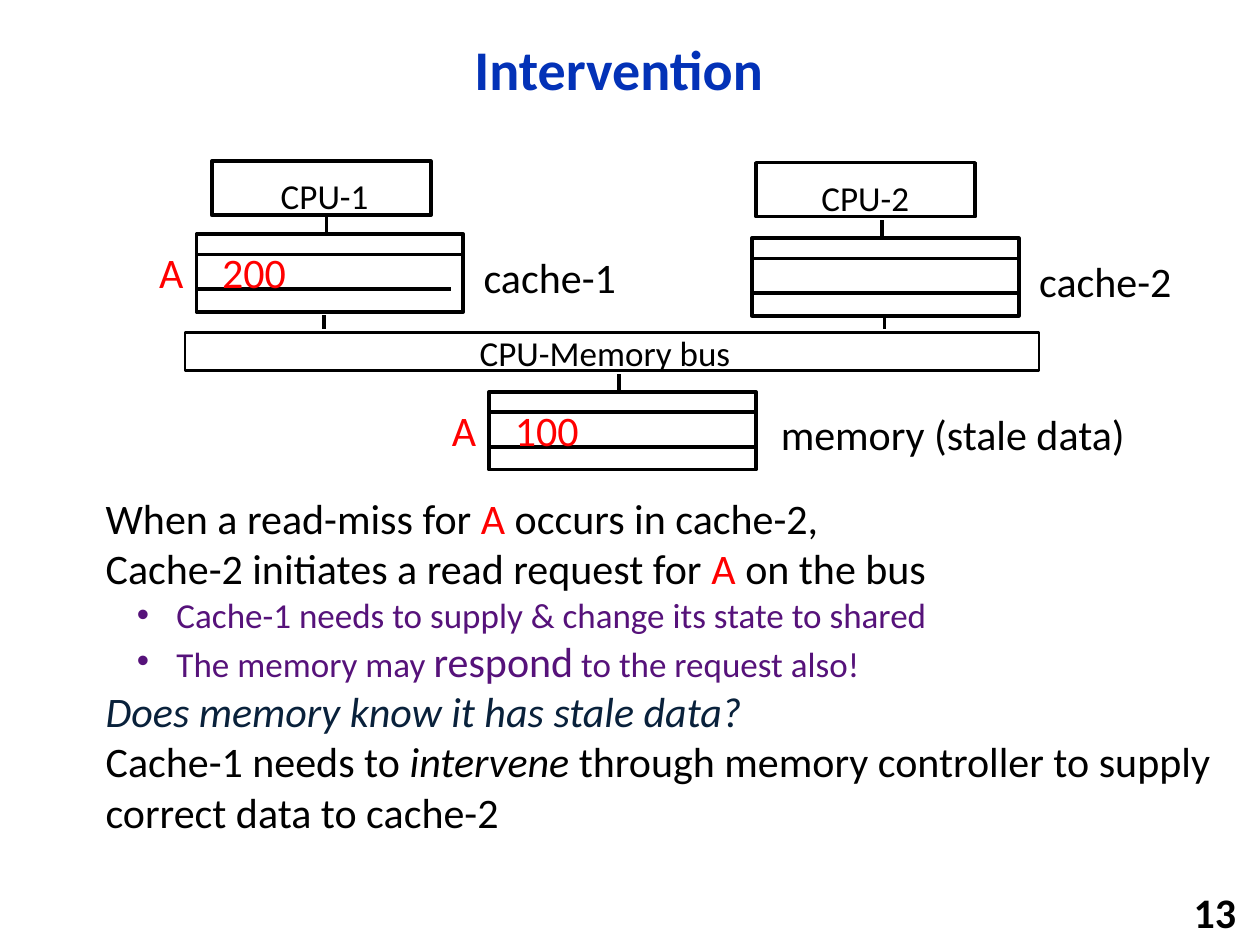
from pptx import Presentation
from pptx.dml.color import RGBColor
from pptx.enum.shapes import MSO_CONNECTOR, MSO_SHAPE
from pptx.enum.text import MSO_ANCHOR, MSO_AUTO_SIZE, PP_ALIGN
from pptx.oxml.ns import qn
from pptx.util import Cm, Pt
from lxml import etree

BLACK, RED, PURPLE, NAVY = "000000", "FF0000", "56127A", "09213B"
paint = RGBColor.from_string

deck = Presentation()
deck.slide_width, deck.slide_height = Cm(25.4), Cm(19.05)
slide = deck.slides.add_slide(deck.slide_layouts[6])
shapes = slide.shapes


def add_text(text, x, y, wide, high, size=24, color=BLACK):
    box = shapes.add_textbox(Cm(x), Cm(y), Cm(wide), Cm(high))
    frame = box.text_frame
    frame.text = text
    frame.word_wrap = False
    frame.auto_size = MSO_AUTO_SIZE.SHAPE_TO_FIT_TEXT
    font = frame.paragraphs[0].runs[0].font
    font.name, font.size = "Calibri", Pt(size)
    font.color.rgb = paint(color)
    return frame


def add_line(x1, y1, x2, y2):
    line = shapes.add_connector(MSO_CONNECTOR.STRAIGHT, Cm(x1), Cm(y1), Cm(x2), Cm(y2))
    line.line.width = Pt(2)
    line.line.color.rgb = paint(BLACK)
    etree.SubElement(line._element.spPr, qn("a:effectLst"))


# Title and page number
for text, x, y, wide, high, size, color, align in (
    ("Intervention", 2.34, 0.43, 20.27, 2.06, 32, "0332B7", PP_ALIGN.CENTER),
    ("13", 19.89, 17.98, 5.28, 0.81, 24, BLACK, PP_ALIGN.RIGHT),
):
    frame = add_text(text, x, y, wide, high, size, color)
    frame.word_wrap = True
    frame.auto_size = MSO_AUTO_SIZE.NONE
    frame.vertical_anchor = MSO_ANCHOR.MIDDLE
    para = frame.paragraphs[0]
    para.alignment = align
    para.runs[0].font.bold = True
    if size == 32:
        para.line_spacing = 0.9

# Boxes: two processors, bus, two caches, memory
for x, y, wide, high, weight in (
    (4.27, 3.25, 4.42, 1.09, 2),
    (15.24, 3.28, 4.42, 1.09, 2),
    (3.73, 6.71, 17.22, 0.76, 1.5),
    (3.96, 4.72, 5.38, 1.57, 2),
    (15.16, 4.8, 5.38, 1.57, 2),
    (9.86, 7.9, 5.38, 1.57, 2),
):
    rect = shapes.add_shape(MSO_SHAPE.RECTANGLE, Cm(x), Cm(y), Cm(wide), Cm(high))
    rect.shadow.inherit = False
    if weight == 1.5:
        rect.fill.solid()
        rect.fill.fore_color.rgb = paint("FFFFFF")
    else:
        rect.fill.background()
    rect.line.width = Pt(weight)
    rect.line.color.rgb = paint(BLACK)

# Processor and bus names
add_text("CPU-1", 5.41, 3.4, 2.29, 1.09, 20)
add_text("CPU-2", 16.31, 3.43, 2.29, 1.09, 20)
add_text("CPU-Memory bus", 9.42, 6.55, 5.59, 1.09, 20)

# Rows, stem, label and value of each store
for x, y, end, label, wide, gap, value in (
    (3.96, 4.72, 5.13, "cache-1", 3.2, 5.54, "A\t200"),
    (15.16, 4.8, 5.36, "cache-2", 3.2, 5.54, None),
    (9.86, 7.9, 5.36, "memory (stale data)", 7.54, 5.63, "A\t100"),
):
    add_line(x + 2.62, y - 0.36, x + 2.62, y - 0.03)
    add_line(x, y + 0.41, x + 5.34, y + 0.41)
    add_line(x + 0.04, y + 1.11, x + end, y + 1.11)
    add_text(label, x + gap, y + 0.22, wide, 1.27)
    if value:
        add_text(value, x - 1, y + 0.13, 4.37, 1.27, color=RED)

# Links from the caches to the bus
add_line(6.53, 6.35, 6.53, 6.63)
add_line(17.83, 6.4, 17.83, 6.63)

# Explanation: (bulleted, runs of text, size, colour, italic)
body = (
    (False, (("When a read-miss for ", 24, BLACK, False), ("A", 24, RED, False),
             (" occurs in cache-2,", 24, BLACK, False))),
    (False, (("Cache-2 initiates a read request for ", 24, BLACK, False),
             ("A", 24, RED, False), (" on the bus", 24, BLACK, False))),
    (True, ((" Cache-1 needs to supply & change its state to shared", 20, PURPLE, False),)),
    (True, ((" The memory may ", 20, PURPLE, False), ("respond", 24, PURPLE, False),
            (" to the request also!", 20, PURPLE, False))),
    (False, (("Does memory know it has stale data?", 24, NAVY, True),)),
    (False, (("Cache-1 needs to ", 24, BLACK, False), ("intervene", 24, BLACK, True),
             (" through memory controller to supply correct data to cache-2",
              24, BLACK, False))),
)
frame = shapes.add_textbox(Cm(1.88), Cm(9.8), Cm(22.89), Cm(7.26)).text_frame
frame.word_wrap = True
frame.auto_size = MSO_AUTO_SIZE.SHAPE_TO_FIT_TEXT
for row, (dotted, parts) in enumerate(body):
    para = frame.add_paragraph() if row else frame.paragraphs[0]
    if dotted:
        para.level = 1
        props = para._p.get_or_add_pPr()
        props.set("marL", str(Cm(1.27)))
        props.set("indent", str(Cm(-0.64)))
        etree.SubElement(props, qn("a:buFont"), typeface="Arial")
        etree.SubElement(props, qn("a:buChar"), char="•")
    for text, size, color, slant in parts:
        run = para.add_run()
        run.text = text
        run.font.name, run.font.size = "Calibri", Pt(size)
        run.font.italic = slant
        run.font.color.rgb = paint(color)

deck.save("out.pptx")
